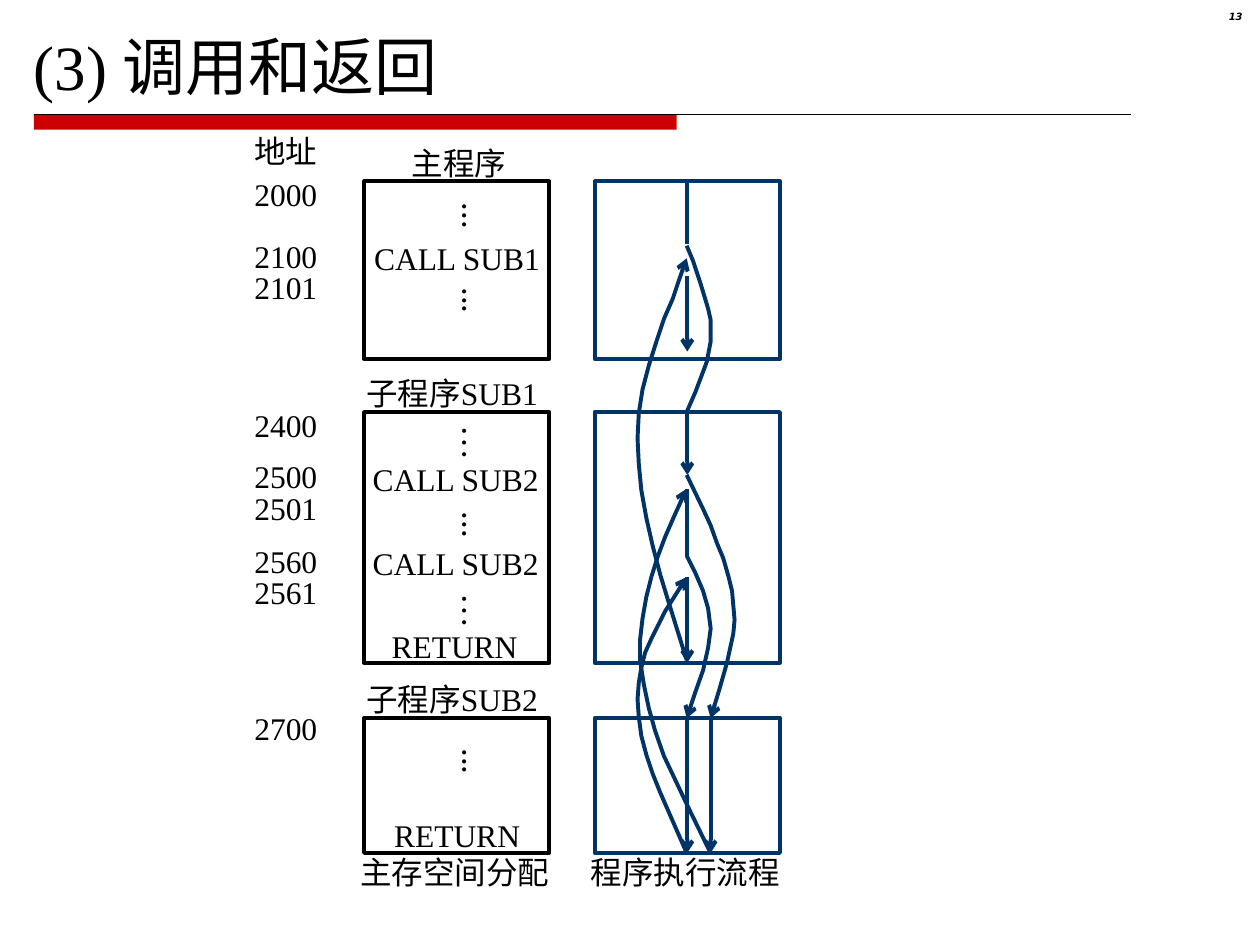
from dataclasses import dataclass
from typing import NamedTuple

from lxml import etree
from pptx import Presentation
from pptx.dml.color import RGBColor
from pptx.enum.shapes import MSO_CONNECTOR, MSO_SHAPE
from pptx.enum.text import PP_ALIGN
from pptx.oxml.ns import qn
from pptx.util import Inches, Pt

RECTANGLE = MSO_SHAPE.RECTANGLE
STRAIGHT = MSO_CONNECTOR.STRAIGHT
RIGHT = PP_ALIGN.RIGHT
TOP, BOTTOM = 0, 2

# The slide is a grid of 1000 columns by 750 rows.
COLUMNS, ROWS = 1000, 750
CELL = Inches(10) // COLUMNS

ADDRESS_LEFT, MEMORY_LEFT, FLOW_LEFT = 192, 289, 472
BOX_WIDTH, LABEL_HEIGHT = 147, 40
LANE = FLOW_LEFT + BOX_WIDTH / 2
SECOND_LANE = 564


@dataclass(frozen=True)
class Theme:
    ink: RGBColor = RGBColor(0x00, 0x00, 0x00)
    accent: RGBColor = RGBColor(0xCC, 0x00, 0x00)
    flow: RGBColor = RGBColor(0x00, 0x33, 0x66)
    font: str = "Times New Roman"
    number_font: str = "DejaVu Sans"
    title: float = 36
    label: float = 18
    dots: float = 20
    number: float = 5.7
    thick: float = 2.25
    thin: float = 0.75


THEME = Theme()


class Block(NamedTuple):
    """One routine: a memory box and the flow box beside it."""
    caption: str
    caption_left: int
    caption_width: int
    top: int
    height: int


class Label(NamedTuple):
    text: str
    left: int
    top: int
    width: int


class Dots(NamedTuple):
    text: str
    top: int
    height: int


class Step(NamedTuple):
    """A straight run of execution; block indexes name joined box sides."""
    column: float
    start: int
    end: int
    arrow: bool
    from_block: int | None = None
    to_block: int | None = None


BLOCKS = [
    Block("主程序", 317, 95, 144, 141),
    Block("子程序SUB1", 281, 162, 327, 199),
    Block("子程序SUB2", 281, 162, 570, 107),
]
ADDRESSES = {"地址": 100, "2000": 134, "2100": 183, "2101": 208, "2400": 317,
             "2500": 358, "2501": 383, "2560": 425, "2561": 450, "2700": 558}
LABELS = [
    Label("CALL SUB1", 287, 185, 152),
    Label("CALL SUB2", 286, 360, 152),
    Label("CALL SUB2", 286, 427, 152),
    Label("RETURN", 301, 493, 120),
    Label("RETURN", 303, 643, 120),
    Label("主存空间分配", 276, 672, 170),
    Label("程序执行流程", 459, 672, 170),
]
DOTS = [Dots("...", 151, 31), Dots("...", 218, 31), Dots("…", 328, 38),
        Dots("...", 396, 31), Dots("…", 461, 38), Dots("...", 584, 31)]
STEPS = [
    Step(LANE, 144, 194, False, from_block=0),
    Step(LANE, 219, 279, True),
    Step(LANE, 327, 377, True, from_block=1),
    Step(LANE, 388, 441, False),
    Step(LANE, 458, 526, True, to_block=1),
    Step(LANE, 570, 677, True, from_block=2, to_block=2),
    Step(SECOND_LANE, 570, 677, True),
]
CALL_SUB1 = [(545, 195), (550, 207), (556, 225), (562, 245), (564, 254), (564, 271),
             (561, 287), (558, 295), (552, 311), (545, 327)]
CALLS_WITH_ARROW = [
    [(545, 377), (558, 404), (564, 417), (569, 431), (574, 443), (578, 457), (581, 469),
     (583, 492), (582, 503), (577, 526), (571, 547), (564, 570)],
    [(545, 441), (552, 455), (558, 469), (562, 483), (564, 499), (562, 514), (558, 532),
     (552, 549), (545, 570)],
]
RETURNS = [
    [(564, 677), (545, 638), (527, 600), (520, 580), (515, 562), (511, 543), (508, 524),
     (508, 508), (510, 491), (513, 474), (517, 458), (522, 442), (528, 426), (535, 410),
     (545, 388)],
    [(545, 677), (531, 645), (524, 629), (518, 614), (513, 599), (509, 584), (507, 569),
     (506, 555), (507, 542), (509, 530), (512, 518), (517, 507), (528, 485), (545, 458)],
    [(545, 524), (531, 479), (524, 456), (518, 433), (513, 411), (509, 389), (507, 368),
     (506, 348), (507, 328), (510, 309), (515, 290), (521, 271), (527, 253), (534, 237),
     (539, 222), (545, 205)],
]


def cells(*counts: float) -> list[int]:
    return [round(count * CELL) for count in counts]


def add_text(page, text: str, area: tuple, size: float, wrap: bool = False,
             font: str = THEME.font):
    box = page.shapes.add_textbox(*cells(*area))
    box.text_frame.word_wrap = wrap
    para = box.text_frame.paragraphs[0]
    span = para.add_run()
    span.text = text
    span.font.name, span.font.size = font, Pt(size)
    span.font.color.rgb = THEME.ink
    return box, para, span


def add_dots(page, dots: Dots) -> None:
    box, _, _ = add_text(page, dots.text, (347, dots.top, 53, dots.height), THEME.dots)
    frame = box.text_frame
    frame.margin_left = frame.margin_right = Inches(0.05)
    frame.margin_top = frame.margin_bottom = Inches(0.1)
    frame._txBody.bodyPr.set("vert", "eaVert")


def set_line(shape, color: RGBColor, width: float, arrow: bool = False) -> None:
    shape.line.color.rgb = color
    shape.line.width = Pt(width)
    if arrow:
        etree.SubElement(shape.line._get_or_add_ln(), qn("a:tailEnd"),
                         type="arrow", w="med", len="med")


def add_box(page, left: int, block: Block, color: RGBColor):
    box = page.shapes.add_shape(RECTANGLE, *cells(left, block.top, BOX_WIDTH, block.height))
    box.shadow.inherit = False
    box.fill.background()
    set_line(box, color, THEME.thick)
    return box


def add_straight(page, ends: tuple, color: RGBColor, width: float, arrow: bool = False):
    line = page.shapes.add_connector(STRAIGHT, *cells(*ends))
    set_line(line, color, width, arrow)
    etree.SubElement(line._element.spPr, qn("a:effectLst"))
    return line


def add_step(page, step: Step, flow_boxes: list) -> None:
    line = add_straight(page, (step.column, step.start, step.column, step.end),
                        THEME.flow, THEME.thick, step.arrow)
    if step.from_block is not None:
        line.begin_connect(flow_boxes[step.from_block], TOP)
    if step.to_block is not None:
        line.end_connect(flow_boxes[step.to_block], BOTTOM)


def add_curve(page, points: list[tuple[int, int]], arrow: bool) -> None:
    builder = page.shapes.build_freeform(*points[0], scale=CELL)
    builder.add_line_segments(points[1:], close=False)
    curve = builder.convert_to_shape()
    curve.shadow.inherit = False
    curve.fill.background()
    set_line(curve, THEME.flow, THEME.thick, arrow)


def add_header(page) -> None:
    bar = page.shapes.add_shape(RECTANGLE, *cells(27, 91, 510, 12))
    bar.shadow.inherit = False
    bar.fill.solid()
    bar.fill.fore_color.rgb = THEME.accent
    bar.line.fill.background()
    add_straight(page, (27, 91, 898, 91), THEME.ink, THEME.thin)
    add_text(page, "(3) 调用和返回", (17, 17, 570, 70), THEME.title, wrap=True)
    _, para, span = add_text(page, "13", (937, 5, 59, 23), THEME.number, True,
                             THEME.number_font)
    para.alignment, para.line_spacing = RIGHT, 0.8
    span.font.bold = span.font.italic = True


def main() -> None:
    deck = Presentation()
    deck.slide_width, deck.slide_height = cells(COLUMNS, ROWS)
    page = deck.slides.add_slide(deck.slide_layouts[6])
    add_header(page)
    flow_boxes = []
    for block in BLOCKS:
        add_box(page, MEMORY_LEFT, block, THEME.ink)
        flow_boxes.append(add_box(page, FLOW_LEFT, block, THEME.flow))
    captions = [Label(b.caption, b.caption_left, b.top - 35, b.caption_width) for b in BLOCKS]
    addresses = [Label(text, ADDRESS_LEFT, top, 70) for text, top in ADDRESSES.items()]
    for label in captions + addresses + LABELS:
        add_text(page, label.text, (label.left, label.top, label.width, LABEL_HEIGHT),
                 THEME.label)
    for dots in DOTS:
        add_dots(page, dots)
    for step in STEPS:
        add_step(page, step, flow_boxes)
    add_curve(page, CALL_SUB1, arrow=False)
    for points in CALLS_WITH_ARROW + RETURNS:
        add_curve(page, points, arrow=True)
    deck.save("out.pptx")


if __name__ == "__main__":
    main()
